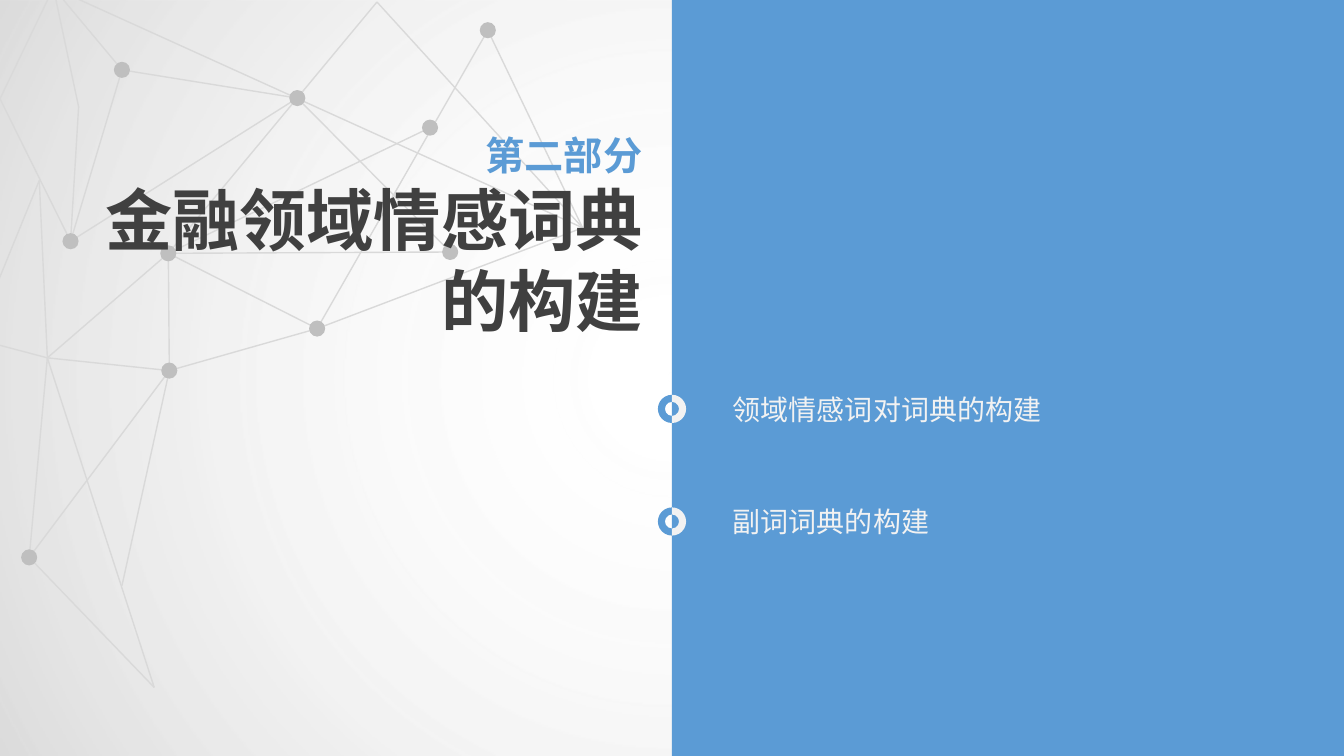
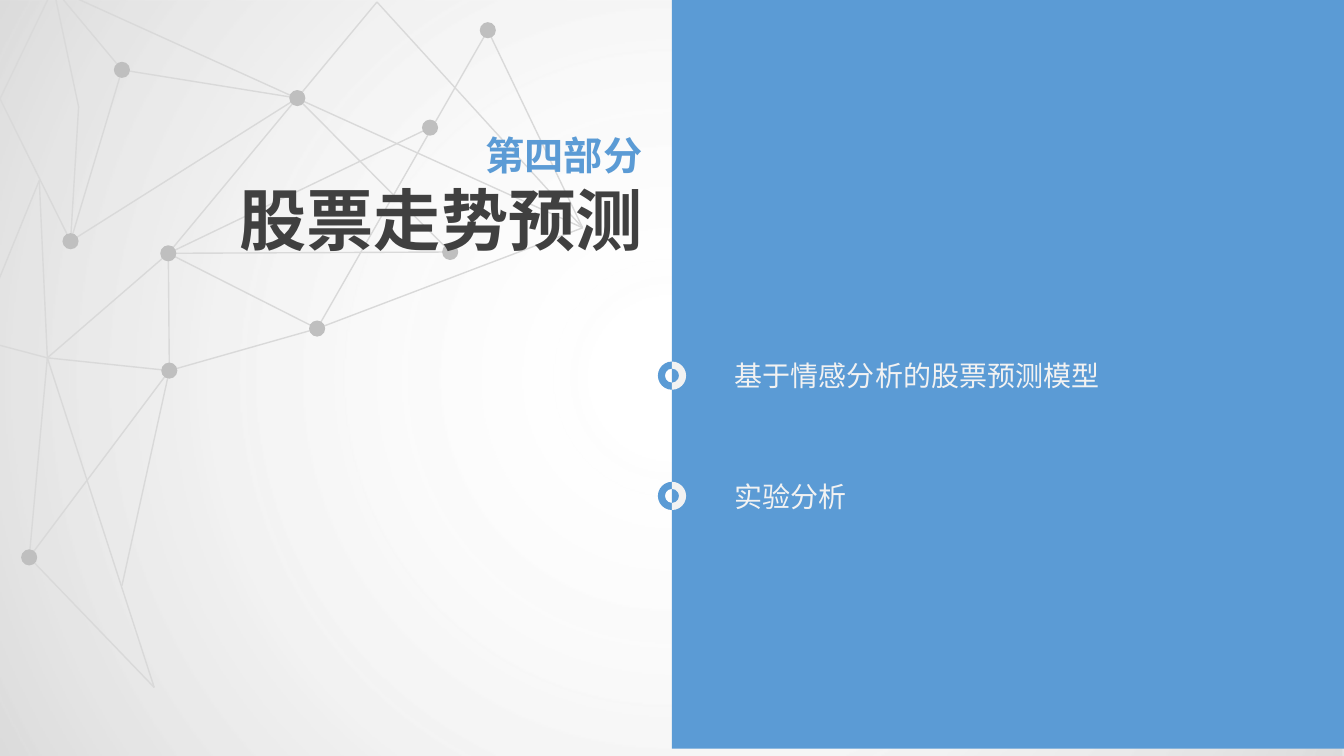
from dataclasses import dataclass
from typing import NamedTuple

import lxml.etree
import pptx
import pptx.dml.color
import pptx.enum.shapes
import pptx.enum.text
import pptx.oxml
import pptx.oxml.ns
import pptx.util

SHAPE = pptx.enum.shapes.MSO_SHAPE
ALIGN = pptx.enum.text.PP_ALIGN
qn = pptx.oxml.ns.qn

# The slide is a grid of square cells, each a third of an inch.
COLUMNS, ROWS = 40, 22.5
CELL_POINTS = 24
MIDDLE = COLUMNS / 2
RING_SIZE = 0.84
DOT_SIZE = 0.48
ITEM_RISE = 0.65  # from the centre of the first item up to the list's top


@dataclass(frozen=True)
class Theme:
    font: str = "Noto Sans CJK SC"
    accent: str = "5B9BD5"
    heading: str = "404040"
    pale: str = "F2F2F2"
    link: str = "D9D9D9"
    dot: str = "BFBFBF"
    title_size: int = 48
    label_size: int = 28
    item_size: int = 20
    line_spacing: float = 1.2
    # position, colour, opacity, each share in percent
    backdrop: tuple = ((0, "FFFFFF", 0), (67, "BFBFBF", 25), (100, "A6A6A6", 40))


THEME = Theme()


class Box(NamedTuple):
    left: float
    top: float
    width: float
    height: float


class Section(NamedTuple):
    label: str
    title: tuple
    items: tuple
    items_left: float
    first_item: float
    item_pitch: float
    panel_top: float


SECTIONS = (
    Section("第二部分", ("金融领域情感词典", "的构建"),
            ("领域情感词对词典的构建", "副词词典的构建"), 21.51, 12.17, 3.35, 0),
    Section("第四部分", ("股票走势预测",),
            ("基于情感分析的股票预测模型", "实验分析"), 21.57, 11.18, 3.58, -0.22),
)

TITLE_BOX = Box(1.8, 5.16, 17.63, 5.16)
LABEL_BOX = Box(14.13, 3.75, 5.31, 1.71)

VERTICES = {
    "hub": (1.41, 10.65), "low": (0.87, 16.59), "west": (5.01, 7.54),
    "south": (5.04, 11.03), "edge": (-0.75, 10.08), "rise": (1.17, 5.37),
    "foot": (4.59, 20.46), "knee": (3.63, 17.43), "east": (17.34, 6.78),
    "peak": (11.22, 0.06), "crown": (1.59, -0.36), "base": (9.44, 9.78),
    "star": (14.52, 0.9), "inner": (12.8, 3.8), "core": (13.4, 7.5),
    "north": (8.85, 2.92), "upper": (3.63, 2.08), "left": (2.1, 7.18),
    "bend": (2.34, 3.18), "side": (0, 2.94),
}
LINKS = {
    "hub": "low west south edge rise foot",
    "low": "south foot",
    "edge": "rise",
    "knee": "south",
    "east": "peak crown base star",
    "base": "south west star",
    "west": "peak inner core south",
    "north": "core upper left",
    "upper": "crown left",
    "bend": "left crown",
    "side": "left crown",
}
DOTS = "low star inner core base south west north left upper".split()


def cells(count: float) -> pptx.util.Length:
    return pptx.util.Inches(count / 3)


def color(value: str) -> pptx.dml.color.RGBColor:
    return pptx.dml.color.RGBColor.from_string(value)


def place(shape, box: Box) -> None:
    shape.left, shape.top, shape.width, shape.height = map(cells, box)


def add_filled(slide, kind, box: Box, fill: str):
    shape = slide.shapes.add_shape(kind, *map(cells, box))
    shape.shadow.inherit = False
    shape.fill.solid()
    shape.fill.fore_color.rgb = color(fill)
    shape.line.fill.background()
    return shape


def write_text(shape, lines: tuple, *, size: int, fill: str, bold: bool = False,
               align=ALIGN.LEFT, pitch: float = 0) -> None:
    """Write one paragraph a line; pitch is the step between them in points."""
    frame = shape.text_frame
    frame.word_wrap = True
    frame.auto_size = pptx.enum.text.MSO_AUTO_SIZE.NONE
    frame.vertical_anchor = pptx.enum.text.MSO_ANCHOR.TOP
    frame.text = "\n".join(lines)
    line_height = size * THEME.line_spacing
    for index, paragraph in enumerate(frame.paragraphs):
        paragraph.alignment = align
        paragraph.line_spacing = pptx.util.Pt(line_height)
        gap = max(pitch - line_height, 0) if index else 0
        paragraph.space_before = pptx.util.Pt(gap)
        for run in paragraph.runs:
            font = run.font
            font.size = pptx.util.Pt(size)
            font.bold = bold
            font.color.rgb = color(fill)
            font.name = THEME.font
            latin = font._element.find(qn("a:latin"))
            east_asian = lxml.etree.Element(qn("a:ea"), typeface=THEME.font)
            latin.addnext(east_asian)


def add_backdrop(slide):
    shape = add_filled(slide, SHAPE.RECTANGLE, Box(0, 0, COLUMNS, ROWS), "FFFFFF")
    stops = "".join(
        f'<a:gs pos="{position * 1000}"><a:srgbClr val="{value}">'
        f'<a:alpha val="{opacity * 1000}"/></a:srgbClr></a:gs>'
        for position, value, opacity in THEME.backdrop)
    gradient = pptx.oxml.parse_xml(
        f'<a:gradFill {pptx.oxml.ns.nsdecls("a")}><a:gsLst>{stops}</a:gsLst>'
        '<a:path path="circle"><a:fillToRect l="50000" t="50000" r="50000" '
        'b="50000"/></a:path></a:gradFill>')
    properties = shape._element.spPr
    properties.replace(properties.find(qn("a:solidFill")), gradient)
    return shape


def add_link(slide, start: tuple, end: tuple):
    link = slide.shapes.add_connector(
        pptx.enum.shapes.MSO_CONNECTOR.STRAIGHT, *map(cells, start + end))
    link.line.color.rgb = color(THEME.link)
    link.line.width = pptx.util.Pt(1)
    lxml.etree.SubElement(link._element.spPr, qn("a:effectLst"))
    return link


def add_dot(slide, center: tuple):
    left, top = (value - DOT_SIZE / 2 for value in center)
    return add_filled(slide, SHAPE.OVAL, Box(left, top, DOT_SIZE, DOT_SIZE), THEME.dot)


def furnish_layout(layout, slide) -> None:
    """Draw the shared backdrop on the slide, then move it to the layout."""
    for placeholder in list(layout.placeholders):
        if placeholder.placeholder_format.idx >= 10:
            placeholder._element.getparent().remove(placeholder._element)
    shapes = [add_backdrop(slide)]
    shapes += [add_link(slide, VERTICES[start], VERTICES[end])
               for start, ends in LINKS.items() for end in ends.split()]
    shapes += [add_dot(slide, VERTICES[name]) for name in DOTS]
    for shape in shapes:
        layout.shapes._spTree.append(shape._element)


def add_ring(slide, center: float) -> None:
    """Draw a ring on the panel's edge, its two halves in contrasting colours."""
    box = Box(MIDDLE - RING_SIZE / 2, center - RING_SIZE / 2, RING_SIZE, RING_SIZE)
    top_angle, bottom_angle = 162, 54
    for start, end, fill in ((bottom_angle, top_angle, THEME.accent),
                             (top_angle, bottom_angle, THEME.pale)):
        half = add_filled(slide, SHAPE.BLOCK_ARC, box, fill)
        for index, value in enumerate((start, end, 0.25)):
            half.adjustments[index] = value


def fill_section(slide, section: Section) -> None:
    panel = add_filled(slide, SHAPE.RECTANGLE,
                       Box(MIDDLE, section.panel_top, MIDDLE, ROWS), THEME.accent)
    slide.shapes._spTree.insert(2, panel._element)

    title, items = slide.placeholders
    place(title, TITLE_BOX)
    write_text(title, section.title, size=THEME.title_size, fill=THEME.heading,
               bold=True, align=ALIGN.RIGHT)
    label = slide.shapes.add_textbox(*map(cells, LABEL_BOX))
    write_text(label, (section.label,), size=THEME.label_size, fill=THEME.accent,
               bold=True, align=ALIGN.CENTER)

    place(items, Box(section.items_left, section.first_item - ITEM_RISE,
                     COLUMNS - section.items_left - 1,
                     section.item_pitch + 2 * ITEM_RISE))
    write_text(items, section.items, size=THEME.item_size, fill=THEME.pale,
               pitch=section.item_pitch * CELL_POINTS)
    for index in range(len(section.items)):
        add_ring(slide, section.first_item + index * section.item_pitch)


def main() -> None:
    presentation = pptx.Presentation()
    presentation.slide_width = cells(COLUMNS)
    presentation.slide_height = cells(ROWS)
    layout = presentation.slide_layouts.get_by_name("Section Header")
    slides = [presentation.slides.add_slide(layout) for _ in SECTIONS]
    furnish_layout(layout, slides[0])
    for slide, section in zip(slides, SECTIONS):
        fill_section(slide, section)
    presentation.save("out.pptx")


if __name__ == "__main__":
    main()
